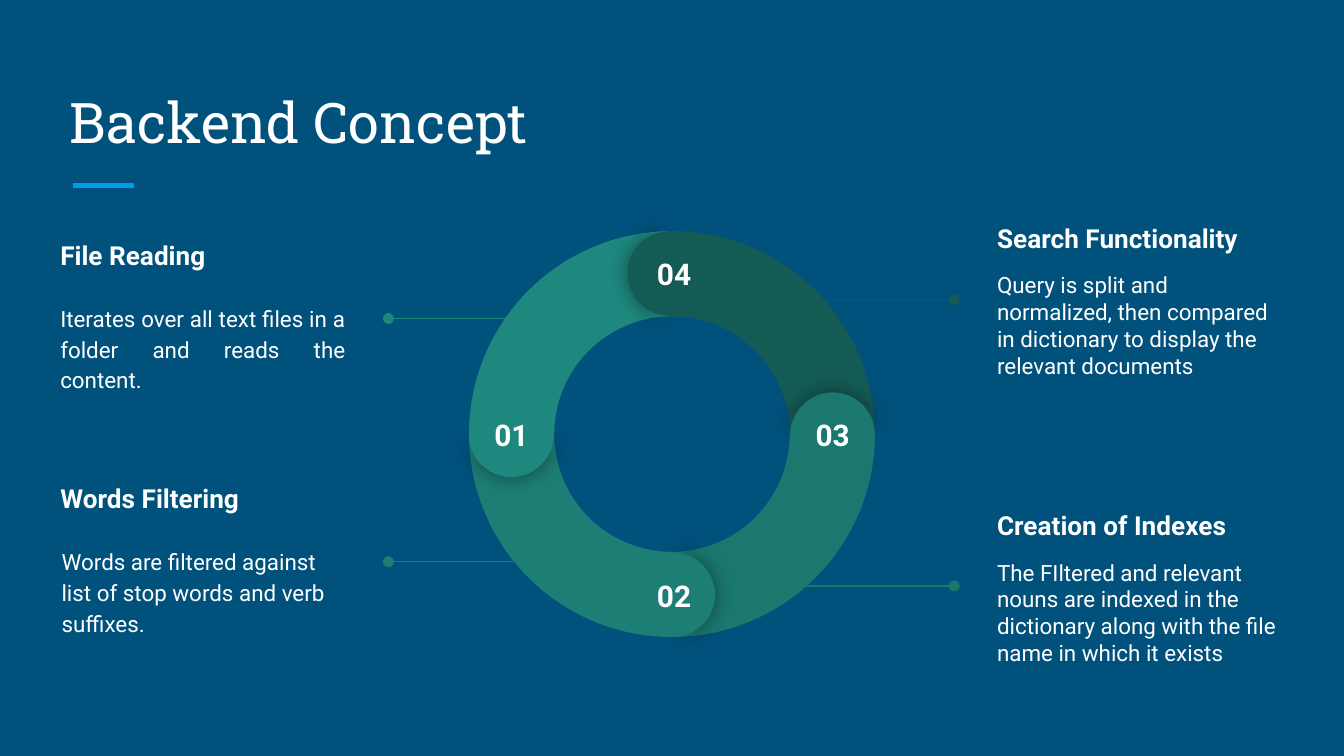
from dataclasses import dataclass
from typing import Any

from lxml import etree
from pptx import Presentation
from pptx.dml.color import RGBColor
from pptx.enum.shapes import MSO_CONNECTOR, MSO_SHAPE
from pptx.enum.text import MSO_ANCHOR, MSO_AUTO_SIZE, PP_ALIGN
from pptx.oxml.ns import qn
from pptx.util import Inches, Pt

STRAIGHT = MSO_CONNECTOR.STRAIGHT
BLOCK_ARC, PIE = MSO_SHAPE.BLOCK_ARC, MSO_SHAPE.PIE
TOP, MIDDLE, BOTTOM = MSO_ANCHOR.TOP, MSO_ANCHOR.MIDDLE, MSO_ANCHOR.BOTTOM
LEFT, CENTER, JUSTIFY = PP_ALIGN.LEFT, PP_ALIGN.CENTER, PP_ALIGN.JUSTIFY
NO_AUTOFIT = MSO_AUTO_SIZE.NONE


@dataclass(frozen=True)
class Theme:
    background: str = "00517C"
    accent: str = "039BE5"
    text: str = "FFFFFF"
    shadow: str = "000000"
    title_font: str = "Roboto Slab"
    body_font: str = "Roboto"
    title_size: float = 30
    number_size: float = 16
    heading_size: float = 14
    body_size: float = 12
    accent_width: float = 3
    leader_width: float = 0.75


@dataclass(frozen=True)
class Segment:
    number: str
    color: str
    arc_rotation: float
    arc_adjustments: tuple[float, float, float]
    cap_left: float
    cap_top: float
    number_left: float
    number_top: float


@dataclass(frozen=True)
class Callout:
    heading: str
    body: str
    left: float
    top: float
    color: str
    leader_start: float
    leader_end: float
    leader_y: float
    body_format: dict[str, Any]
    indent: float = 0


THEME = Theme()
SLIDE_WIDTH = Inches(10)
SLIDE_HEIGHT = SLIDE_WIDTH * 9 // 16
RING_LEFT, RING_TOP, RING_SIZE = 3.49, 1.72, 3.02
CAP_SIZE = 0.63
NUMBER_SIZE = (0.55, 0.29)
CALLOUT_SIZE = (2.32, 1.41)
CAP_FRONT = (61.9, 149.96)
CAP_BACK = (40.28, 171.84)
ARC = (126.23, 181.77, 0.21)

SEGMENTS = [
    Segment("02", "1D7E75", 240, ARC, 4.69, 4.11, 4.74, 4.2),
    Segment("01", "1F887E", 330, ARC, 3.49, 2.92, 3.53, 3),
    Segment("04", "155B55", 60, (125.64, 183.46, 0.21), 4.67, 1.72, 4.74, 1.8),
    Segment("03", "1B786F", 150, (126.23, 180.81, 0.21), 5.88, 2.92, 5.92, 3),
]

WIDE = {"line_spacing": 1.15, "space_before": Pt(16)}
COMPACT = {"alignment": LEFT, "space_before": Pt(9.4)}
CALLOUTS = [
    Callout("File Reading",
            "Iterates over all text files in a folder and reads the content.",
            0.35, 1.65, "1F887E", 4.03, 2.89, 2.37, {**WIDE, "alignment": JUSTIFY}),
    Callout("Words Filtering",
            "Words are filtered against list of stop words and verb suffixes.",
            0.35, 3.46, "1D7E75", 4.32, 2.89, 4.18, {**WIDE, "alignment": LEFT}, 0.01),
    Callout("Search Functionality",
            "Query is split and normalized, then compared in dictionary to display "
            "the relevant documents",
            7.32, 1.53, "155B55", 5.7, 7.1, 2.23, COMPACT),
    Callout("Creation of Indexes",
            "The FIltered and relevant nouns are indexed in the dictionary along "
            "with the file name in which it exists",
            7.32, 3.67, "1B786F", 5.7, 7.1, 4.36, COMPACT),
]


def apply_format(target: Any, values: dict[str, Any]) -> None:
    for name, value in values.items():
        setattr(target, name, value)


def format_frame(frame: Any, anchor: MSO_ANCHOR) -> None:
    margins = {f"margin_{side}": Inches(0.1) for side in ("left", "top", "right", "bottom")}
    apply_format(frame, {**margins, "word_wrap": True, "auto_size": NO_AUTOFIT,
                         "vertical_anchor": anchor})


def write_text(paragraph: Any, text: str, font: str, size: float, bold: bool,
               paragraph_format: dict[str, Any]) -> None:
    apply_format(paragraph, paragraph_format)
    run = paragraph.add_run()
    run.text = text
    apply_format(run.font, {"name": font, "size": Pt(size), "bold": bold})
    run.font.color.rgb = RGBColor.from_string(THEME.text)


def add_text_frame(slide: Any, left: float, top: float, size: tuple[float, float],
                   anchor: MSO_ANCHOR) -> Any:
    box = slide.shapes.add_textbox(*map(Inches, (left, top, *size)))
    format_frame(box.text_frame, anchor)
    return box.text_frame


def add_title(slide: Any, text: str) -> None:
    title = slide.shapes.title
    apply_format(title, {"left": Inches(0.42), "top": Inches(0.5),
                         "width": Inches(9.15), "height": Inches(0.75)})
    format_frame(title.text_frame, BOTTOM)
    write_text(title.text_frame.paragraphs[0], text, THEME.title_font,
               THEME.title_size, False, {"alignment": LEFT})


def add_line(slide: Any, start: float, end: float, y: float, color: str,
             width: float, dot: bool = False) -> None:
    connector = slide.shapes.add_connector(STRAIGHT, *map(Inches, (start, y, end, y)))
    connector.line.color.rgb = RGBColor.from_string(color)
    connector.line.width = Pt(width)
    properties = connector._element.spPr
    if dot:
        etree.SubElement(properties.find(qn("a:ln")), qn("a:tailEnd"), type="oval")
    etree.SubElement(properties, qn("a:effectLst"))


def add_ring_part(slide: Any, kind: MSO_SHAPE, left: float, top: float, size: float,
                  rotation: float, adjustments: tuple[float, ...], color: str) -> Any:
    shape = slide.shapes.add_shape(kind, *map(Inches, (left, top, size, size)))
    shape.rotation = rotation
    for index, value in enumerate(adjustments):
        shape.adjustments[index] = value
    shape.fill.solid()
    shape.fill.fore_color.rgb = RGBColor.from_string(color)
    shape.line.fill.background()
    shape.shadow.inherit = False
    return shape


def add_soft_shadow(shape: Any) -> None:
    effects = shape._element.spPr.find(qn("a:effectLst"))
    shadow = etree.SubElement(effects, qn("a:outerShdw"), blurRad=str(Pt(11.2)),
                              dist="0", dir="0", algn="ctr", rotWithShape="0")
    color = etree.SubElement(shadow, qn("a:srgbClr"), val=THEME.shadow)
    etree.SubElement(color, qn("a:alpha"), val="43000")


def add_arc(slide: Any, segment: Segment) -> None:
    add_ring_part(slide, BLOCK_ARC, RING_LEFT, RING_TOP, RING_SIZE,
                  segment.arc_rotation, segment.arc_adjustments, segment.color)


def add_cap(slide: Any, segment: Segment) -> None:
    rotation = (segment.arc_rotation - 60) % 360
    place = (segment.cap_left, segment.cap_top, CAP_SIZE)
    front = add_ring_part(slide, PIE, *place, rotation + 0.7, CAP_FRONT, segment.color)
    add_soft_shadow(front)
    add_ring_part(slide, PIE, *place, (rotation + 180) % 360, CAP_BACK, segment.color)
    frame = add_text_frame(slide, segment.number_left, segment.number_top, NUMBER_SIZE, TOP)
    write_text(frame.paragraphs[0], segment.number, THEME.body_font,
               THEME.number_size, True, {"alignment": CENTER})


def add_callout(slide: Any, callout: Callout) -> None:
    frame = add_text_frame(slide, callout.left, callout.top, CALLOUT_SIZE, MIDDLE)
    write_text(frame.paragraphs[0], callout.heading, THEME.body_font,
               THEME.heading_size, True, {"alignment": LEFT})
    body = frame.add_paragraph()
    write_text(body, callout.body, THEME.body_font, THEME.body_size, False,
               callout.body_format)
    if callout.indent:
        body._p.get_or_add_pPr().set("marL", str(Inches(callout.indent)))
    add_line(slide, callout.leader_start, callout.leader_end, callout.leader_y,
             callout.color, THEME.leader_width, dot=True)


def main() -> None:
    presentation = Presentation()
    apply_format(presentation, {"slide_width": SLIDE_WIDTH, "slide_height": SLIDE_HEIGHT})
    slide = presentation.slides.add_slide(presentation.slide_layouts[5])
    slide.background.fill.solid()
    slide.background.fill.fore_color.rgb = RGBColor.from_string(THEME.background)
    add_title(slide, "Backend Concept")
    add_line(slide, 0.54, 1, 1.38, THEME.accent, THEME.accent_width)
    for segment in SEGMENTS:
        add_arc(slide, segment)
    for segment in SEGMENTS:
        add_cap(slide, segment)
    for callout in CALLOUTS:
        add_callout(slide, callout)
    presentation.save("out.pptx")


if __name__ == "__main__":
    main()
